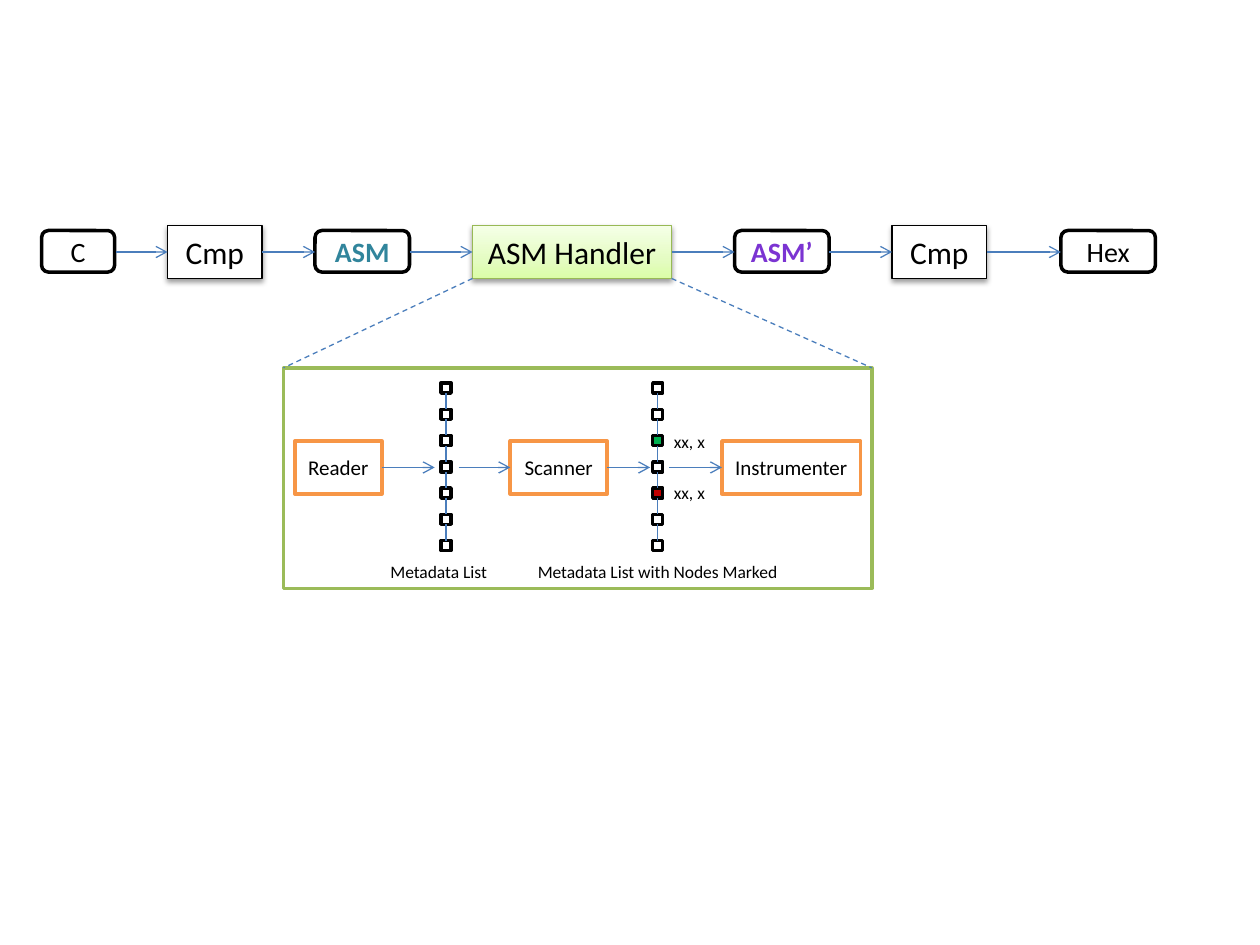
from pptx import Presentation
from pptx.dml.color import RGBColor
from pptx.enum import dml, shapes, text
from pptx.oxml import parse_xml
from pptx.oxml.ns import nsdecls, qn
from pptx.util import Inches, Pt
from lxml import etree

BLACK = "000000"
WHITE = "FFFFFF"
BLUE = "4B7EBC"
ORANGE = "F79646"
FLOW_Y = 2
DETAIL_Y = 3.71
NODE_SIZE = 0.08
NODE_TOP = 3.04
NODE_STEP = 1.25 / 6
RECT = shapes.MSO_SHAPE.RECTANGLE
ROUNDED = shapes.MSO_SHAPE.ROUNDED_RECTANGLE


def color(value):
    return RGBColor.from_string(value)


def add_run(paragraph, wording, size, ink=BLACK, bold=False):
    run = paragraph.add_run()
    run.text = wording
    run.font.name = "Calibri"
    run.font.size = Pt(size)
    run.font.bold = bold
    run.font.color.rgb = color(ink)


def add_box(parent, kind, left, top, width, height, fill=WHITE, line=BLACK, weight=2):
    shape = parent.add_shape(kind, Inches(left), Inches(top), Inches(width), Inches(height))
    shape.shadow.inherit = False
    if fill:
        shape.fill.solid()
        shape.fill.fore_color.rgb = color(fill)
    else:
        shape.fill.background()
    shape.line.color.rgb = color(line)
    shape.line.width = Pt(weight)
    return shape


def add_label(shape, wording, size, ink=BLACK, bold=False):
    frame = shape.text_frame
    frame.word_wrap = True
    frame.margin_left = frame.margin_right = 0
    frame.vertical_anchor = text.MSO_ANCHOR.MIDDLE
    paragraph = frame.paragraphs[0]
    paragraph.alignment = text.PP_ALIGN.CENTER
    add_run(paragraph, wording, size, ink, bold)


def add_shadow(shape):
    properties = shape._element.spPr
    properties.remove(properties.find(qn("a:effectLst")))
    properties.append(parse_xml(
        f'<a:effectLst {nsdecls("a")}><a:outerShdw blurRad="39370" dist="20320" dir="5400000" '
        f'rotWithShape="0"><a:srgbClr val="{BLACK}"><a:alpha val="38000"/></a:srgbClr>'
        '</a:outerShdw></a:effectLst>'))


def set_gradient(shape, stops, angle):
    properties = shape._element.spPr
    entries = "".join(
        f'<a:gs pos="{place * 1000}"><a:srgbClr val="{value}"/></a:gs>' for place, value in stops)
    gradient = parse_xml(
        f'<a:gradFill {nsdecls("a")} rotWithShape="1"><a:gsLst>{entries}</a:gsLst>'
        f'<a:lin ang="{angle * 60000}" scaled="0"/></a:gradFill>')
    properties.replace(properties.find(qn("a:solidFill")), gradient)


def add_line(parent, start, end, arrow=False, dashed=False):
    points = [Inches(value) for value in (*start, *end)]
    connector = parent.add_connector(shapes.MSO_CONNECTOR.STRAIGHT, *points)
    connector.line.color.rgb = color(BLUE)
    connector.line.width = Pt(0.75)
    if dashed:
        connector.line.dash_style = dml.MSO_LINE.DASH
    properties = connector._element.spPr
    if arrow:
        etree.SubElement(properties.find(qn("a:ln")), qn("a:tailEnd"), type="arrow")
    etree.SubElement(properties, qn("a:effectLst"))


def add_text(parent, wording, left, top, width):
    box = parent.add_textbox(Inches(left), Inches(top), Inches(width), Inches(0.27))
    box.text_frame.word_wrap = True
    box.text_frame.auto_size = text.MSO_AUTO_SIZE.SHAPE_TO_FIT_TEXT
    add_run(box.text_frame.paragraphs[0], wording, 10)


def add_data(parent, wording, left, width, ink=BLACK, bold=False):
    shape = add_box(parent, ROUNDED, left, FLOW_Y - 0.17, width, 0.33)
    add_label(shape, wording, 16, ink, bold)


def add_process(parent, wording, left, width, line=BLACK):
    shape = add_box(parent, RECT, left, FLOW_Y - 0.21, width, 0.42, line=line, weight=0.75)
    add_shadow(shape)
    add_label(shape, wording, 18)
    return shape


def add_stage(parent, wording, left, width):
    shape = add_box(parent, RECT, left, DETAIL_Y - 0.21, width, 0.42, line=ORANGE)
    add_label(shape, wording, 12)


def add_node_list(parent, left, marks):
    group = parent.add_group_shape().shapes
    center = left + NODE_SIZE / 2
    for index in range(7):
        top = NODE_TOP + index * NODE_STEP
        add_box(group, RECT, left, top, NODE_SIZE, NODE_SIZE, marks.get(index, WHITE))
        if index:
            add_line(group, (center, top - NODE_STEP + NODE_SIZE), (center, top))


def add_flow(parent):
    add_data(parent, "C", 0.33, 0.58)
    add_process(parent, "Cmp", 1.33, 0.75)
    add_data(parent, "ASM", 2.5, 0.75, "31859C", True)
    handler = add_process(parent, "ASM Handler", 3.75, 1.58, "98B955")
    set_gradient(handler, [(0, "DAFDA7"), (35, "E4FCC2"), (100, "F5FFE7")], 270)
    add_data(parent, "ASM’", 5.83, 0.75, "7B34D2", True)
    add_process(parent, "Cmp", 7.08, 0.75)
    add_data(parent, "Hex", 8.42, 0.75)
    for start, end in [(0.92, 1.33), (2.08, 2.5), (3.25, 3.75),
                       (5.33, 5.83), (6.58, 7.08), (7.83, 8.42)]:
        add_line(parent, (start, FLOW_Y), (end, FLOW_Y), arrow=True)


def add_detail(parent):
    add_node_list(parent, 3.5, {})
    for wording, left, width in [("Reader", 2.34, 0.69), ("Scanner", 4.05, 0.77),
                                 ("Instrumenter", 5.73, 1.1)]:
        add_stage(parent, wording, left, width)
    add_node_list(parent, 5.18, {2: "00B050", 4: "C00000"})
    for start, end in [(3.03, 3.45), (3.64, 4.05), (4.82, 5.16), (5.31, 5.73)]:
        add_line(parent, (start, DETAIL_Y), (end, DETAIL_Y), arrow=True)
    add_box(parent, RECT, 2.25, 2.92, 4.67, 1.75, fill=None, line="9BBB59")
    for start, end in [(3.75, 2.25), (5.33, 6.92)]:
        add_line(parent, (start, 2.21), (end, 2.92), dashed=True)
    add_text(parent, "Metadata List", 3, 4.4, 1.08)
    add_text(parent, "Metadata List with Nodes Marked", 4.17, 4.4, 2.17)
    for top in (3.37, 3.78):
        add_text(parent, "xx, x", 5.25, top, 0.48)


def main():
    presentation = Presentation()
    presentation.slide_width = Inches(10)
    presentation.slide_height = Inches(7.5)
    slide = presentation.slides.add_slide(presentation.slide_layouts[6])
    add_flow(slide.shapes)
    add_detail(slide.shapes)
    presentation.save("out.pptx")


main()
